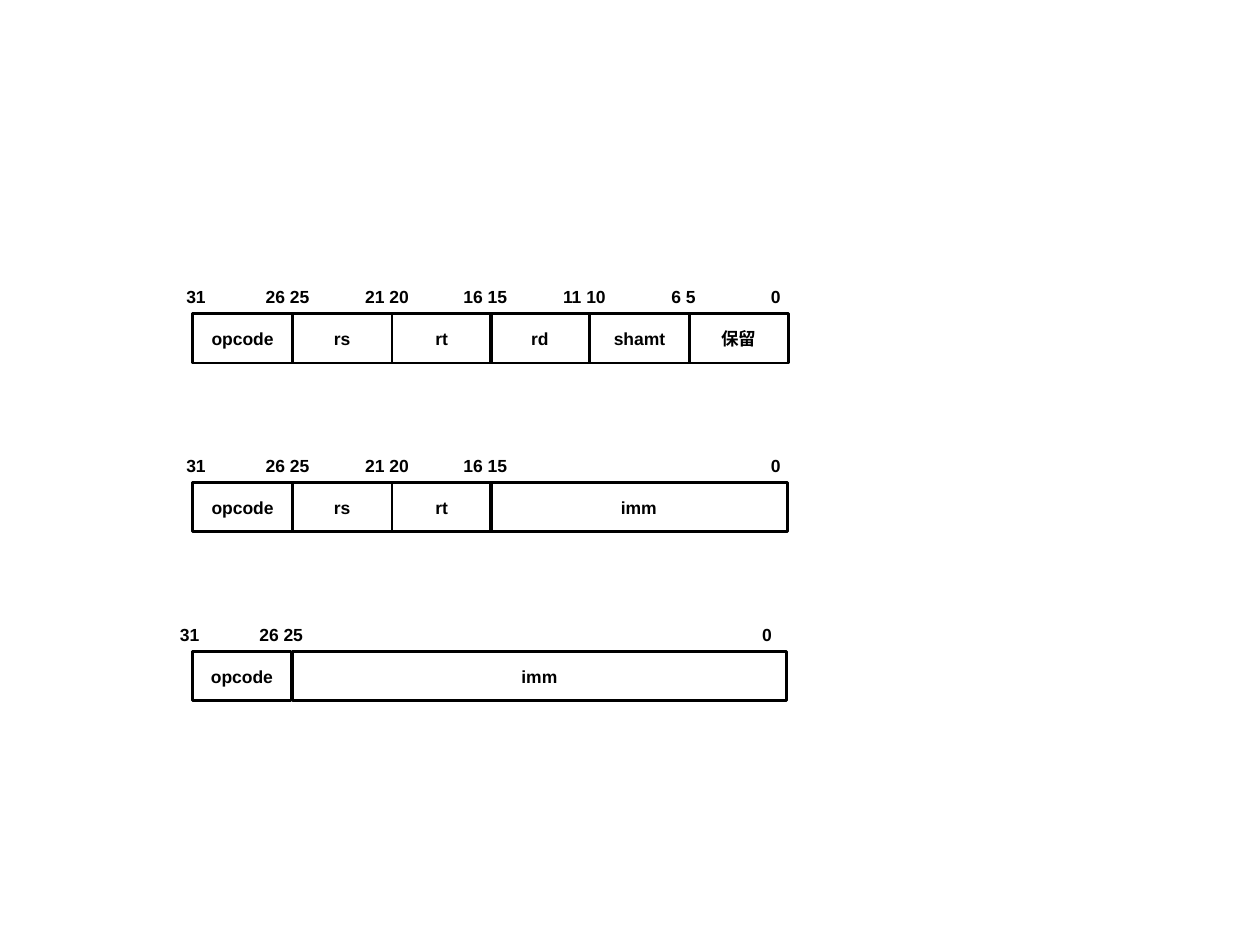
from pptx import Presentation
from pptx.dml.color import RGBColor
from pptx.enum.shapes import MSO_SHAPE
from pptx.enum.text import MSO_ANCHOR, MSO_AUTO_SIZE, PP_ALIGN
from pptx.util import Pt

PX = 9144  # 100 px to the inch
BLACK = RGBColor(0, 0, 0)
RECT = MSO_SHAPE.RECTANGLE
MIDDLE = MSO_ANCHOR.MIDDLE
GROW = MSO_AUTO_SIZE.SHAPE_TO_FIT_TEXT
LEFT, CENTER = PP_ALIGN.LEFT, PP_ALIGN.CENTER

TOP_BIT = 31
COLUMNS = 6
FIELD_H = 39
LABEL_H = 27
# Label text length: (distance left of the field edge, box width)
LABEL_FIT = {1: (24, 41), 2: (15, 41), 3: (24, 41), 5: (31, 62)}

# Each field: name, lowest bit, columns covered
R_TYPE = [("opcode", 26, 1), ("rs", 21, 1), ("rt", 16, 1),
          ("rd", 11, 1), ("shamt", 6, 1), ("保留", 0, 1)]
I_TYPE = [("opcode", 26, 1), ("rs", 21, 1), ("rt", 16, 1), ("imm", 0, 3)]
J_TYPE = [("opcode", 26, 1), ("imm", 0, 5)]


def px(*lengths):
    return [round(n) * PX for n in lengths]


def write(shape, text, align):
    tf = shape.text_frame
    tf.word_wrap = True
    p = tf.paragraphs[0]
    p.text = text
    p.alignment = align
    font = p.runs[0].font
    font.name, font.size, font.bold = "Arial", Pt(10), True
    font.color.rgb = BLACK


def add_field(s, name, left, top, width):
    sp = s.shapes.add_shape(RECT, *px(left, top, width, FIELD_H))
    sp.shadow.inherit = False
    sp.fill.background()
    sp.line.color.rgb = BLACK
    sp.line.width = Pt(1.5)
    sp.text_frame.vertical_anchor = MIDDLE
    write(sp, name, CENTER)


def add_bit_label(s, text, edge, top):
    offset, width = LABEL_FIT[len(text)]
    tb = s.shapes.add_textbox(*px(edge - offset, top, width, LABEL_H))
    write(tb, text, LEFT)
    tb.text_frame.auto_size = GROW


def add_format(s, fields, left, top, width, label_shift=0):
    """Draw one instruction format: a row of fields under its bit numbers."""
    column_w = width / COLUMNS
    field_top = top + LABEL_H
    edge = left
    add_bit_label(s, str(TOP_BIT), edge + label_shift, top)
    for name, low_bit, columns in fields:
        field_w = columns * column_w
        add_field(s, name, edge, field_top, field_w)
        edge += field_w
        label = f"{low_bit} {low_bit - 1}" if low_bit else "0"
        add_bit_label(s, label, edge + label_shift, top)


def main():
    prs = Presentation()
    prs.slide_width, prs.slide_height = px(1000, 750)
    s = prs.slides.add_slide(prs.slide_layouts[6])
    add_format(s, R_TYPE, 153, 222, 473)
    add_format(s, I_TYPE, 153, 356, 473)
    add_format(s, J_TYPE, 153, 490, 471, label_shift=-5)
    prs.save("out.pptx")


if __name__ == "__main__":
    main()
